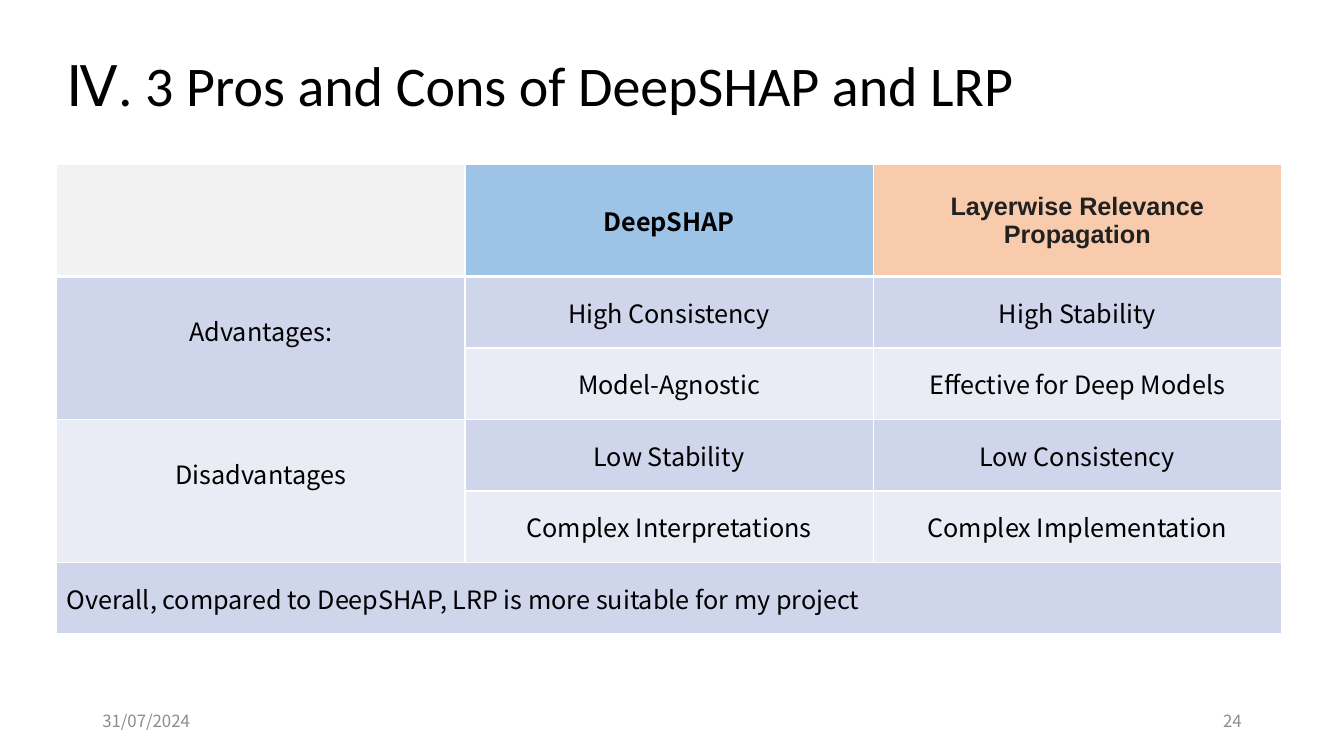
import pptx
import pptx.dml.color
import pptx.enum.text
import pptx.oxml
import pptx.oxml.ns
import pptx.util

Pt = pptx.util.Pt
ALIGN = pptx.enum.text.PP_ALIGN
MIDDLE = pptx.enum.text.MSO_ANCHOR.MIDDLE

COLORS = {
    "black": "000000", "charcoal": "212121", "grey": "8C8C8C", "white": "FFFFFF",
    "corner": "F2F2F2", "blue": "9DC3E6", "orange": "F8CBAD",
    "dark_band": "CFD5EA", "light_band": "E9EBF5",
}
BODY_FONT = "Noto Sans CJK SC"


class SlideBuilder:
    def __init__(self, presentation):
        self.slide = presentation.slides.add_slide(presentation.slide_layouts[5])

    def color(self, name):
        return pptx.dml.color.RGBColor.from_string(COLORS[name])

    def format_text(self, text_frame, size, color, align=ALIGN.LEFT, font=BODY_FONT, bold=False):
        for paragraph in text_frame.paragraphs:
            paragraph.alignment = align
            for run in paragraph.runs:
                run.font.name = font
                run.font.size = Pt(size)
                run.font.bold = bold
                run.font.color.rgb = self.color(color)

    def title(self, text, left, top, width, height):
        shape = self.slide.shapes.title
        shape.left, shape.top, shape.width, shape.height = map(Pt, (left, top, width, height))
        text_frame = shape.text_frame
        text_frame.text = text
        text_frame.word_wrap = True
        text_frame.auto_size = pptx.enum.text.MSO_AUTO_SIZE.NONE
        text_frame.vertical_anchor = MIDDLE
        text_frame.paragraphs[0].line_spacing = 0.9
        self.format_text(text_frame, 40, "black", font="Calibri")

    def footer(self, text, left, align):
        shape = self.slide.shapes.add_textbox(Pt(left), Pt(500.5), Pt(216), Pt(28.8))
        text_frame = shape.text_frame
        text_frame.text = text
        text_frame.word_wrap = True
        text_frame.vertical_anchor = MIDDLE
        self.format_text(text_frame, 12, "grey", align)

    def table(self, row_heights, column_widths, left, top):
        frame = self.slide.shapes.add_table(
            len(row_heights), len(column_widths), Pt(left), Pt(top),
            Pt(sum(column_widths)), Pt(sum(row_heights)))
        table = frame.table
        for row, height in zip(table.rows, row_heights):
            row.height = Pt(height)
        for column, width in zip(table.columns, column_widths):
            column.width = Pt(width)
        return table

    def cell(self, cell, text, fill, align=ALIGN.CENTER, **style):
        cell.fill.solid()
        cell.fill.fore_color.rgb = self.color(fill)
        cell.vertical_anchor = MIDDLE
        if text:
            cell.text_frame.text = text
            self.format_text(cell.text_frame, 18, style.pop("color", "black"), align, **style)

    def borders(self, cell, top, bottom):
        properties = cell._tc.get_or_add_tcPr()
        namespace = pptx.oxml.ns.nsdecls("a")
        widths = {"lnL": 1, "lnR": 1, "lnT": top, "lnB": bottom}
        for index, (side, width) in enumerate(widths.items()):
            properties.insert(index, pptx.oxml.parse_xml(
                f'<a:{side} {namespace} w="{Pt(width)}"><a:solidFill>'
                f'<a:srgbClr val="{COLORS["white"]}"/></a:solidFill></a:{side}>'))


def main():
    presentation = pptx.Presentation()
    presentation.slide_width = Pt(960)
    presentation.slide_height = Pt(540)
    builder = SlideBuilder(presentation)

    builder.footer("31/07/2024", 66, ALIGN.LEFT)
    builder.footer("24", 678, ALIGN.RIGHT)
    builder.title("Ⅳ. 3 Pros and Cons of DeepSHAP and LRP", 40.5, 10.8, 828, 104.4)

    table = builder.table([80] + [51.1] * 5, [291.6] * 3, 40.5, 117.5)
    builder.cell(table.cell(0, 0), "", "corner")
    builder.cell(table.cell(0, 1), "DeepSHAP", "blue", bold=True)
    builder.cell(table.cell(0, 2), "Layerwise Relevance Propagation", "orange",
                 color="charcoal", font="Arial", bold=True)

    comparisons = [
        ("High Consistency", "High Stability"),
        ("Model-Agnostic", "Effective for Deep Models"),
        ("Low Stability", "Low Consistency"),
        ("Complex Interpretations", "Complex Implementation"),
    ]
    for row, texts in enumerate(comparisons, start=1):
        for column, text in enumerate(texts, start=1):
            builder.cell(table.cell(row, column), text, "dark_band" if row % 2 else "light_band")

    groups = [("Advantages:", 1, "dark_band"), ("Disadvantages", 3, "light_band")]
    for text, row, fill in groups:
        heading = table.cell(row, 0)
        heading.merge(table.cell(row + 1, 0))
        builder.cell(heading, text, fill)
        heading.margin_bottom = Pt(28)

    conclusion = table.cell(5, 0)
    conclusion.merge(table.cell(5, 2))
    builder.cell(conclusion, "Overall, compared to DeepSHAP, LRP is more suitable for my project",
                 "dark_band", ALIGN.LEFT)

    for row_index, row in enumerate(table.rows):
        for cell in row.cells:
            builder.borders(cell, top=3 if row_index == 1 else 1, bottom=3 if row_index == 0 else 1)

    presentation.save("out.pptx")


if __name__ == "__main__":
    main()
